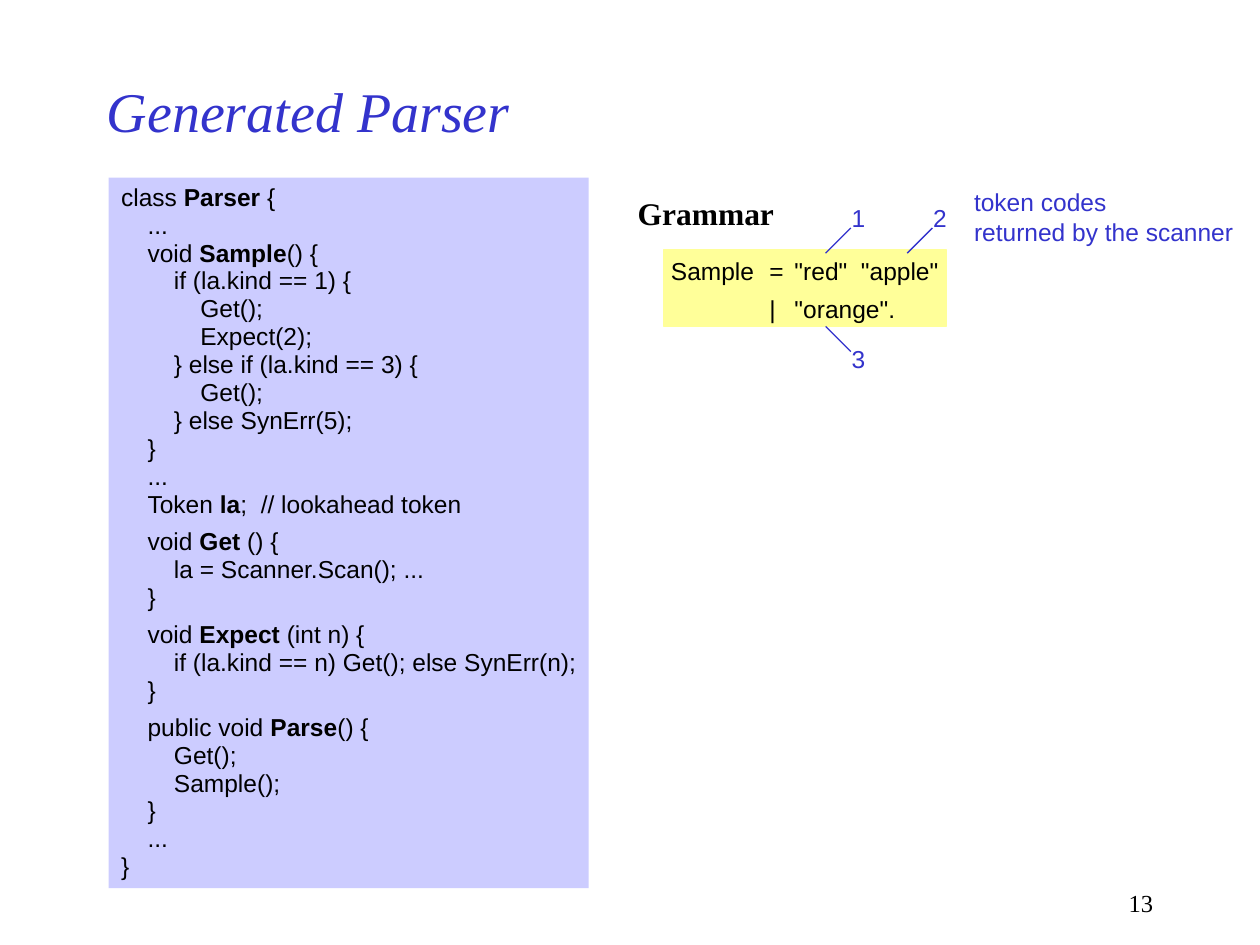
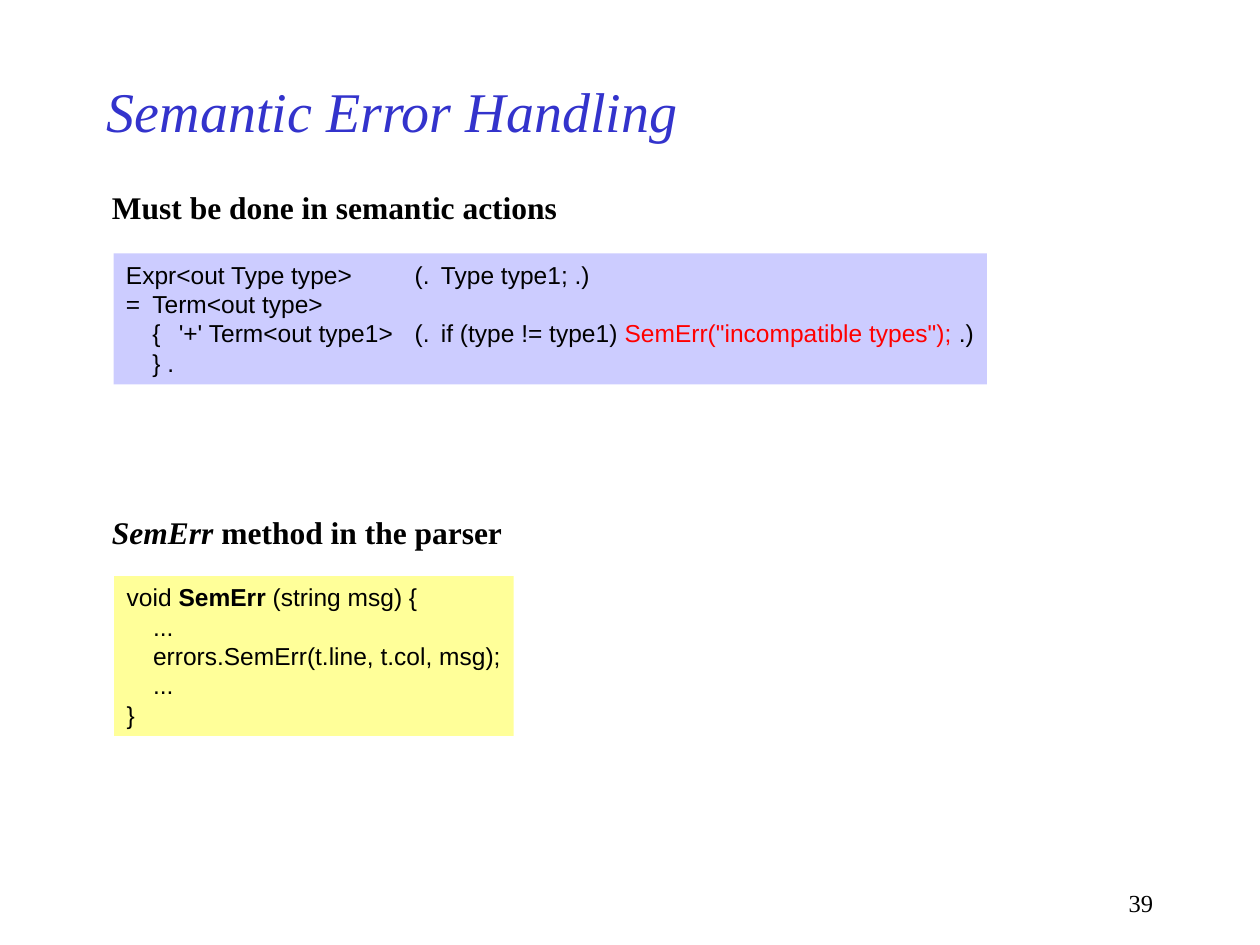
from dataclasses import dataclass

from lxml import etree
from pptx import Presentation
from pptx.dml.color import RGBColor
from pptx.enum.shapes import MSO_CONNECTOR, MSO_SHAPE
from pptx.enum.text import MSO_ANCHOR, MSO_AUTO_SIZE, PP_ALIGN
from pptx.oxml.ns import qn
from pptx.util import Pt

RECTANGLE = MSO_SHAPE.RECTANGLE
STRAIGHT = MSO_CONNECTOR.STRAIGHT
TOP, MIDDLE = MSO_ANCHOR.TOP, MSO_ANCHOR.MIDDLE
LEFT, RIGHT = PP_ALIGN.LEFT, PP_ALIGN.RIGHT
FIXED = MSO_AUTO_SIZE.NONE


@dataclass(frozen=True)
class Theme:
    ink: RGBColor = RGBColor(0x00, 0x00, 0x00)
    accent: RGBColor = RGBColor(0x33, 0x33, 0xCC)
    alert: RGBColor = RGBColor(0xFF, 0x00, 0x00)
    lilac: RGBColor = RGBColor(0xCC, 0xCC, 0xFF)
    yellow: RGBColor = RGBColor(0xFF, 0xFF, 0x99)
    serif: str = "Times New Roman"
    sans: str = "Arial"
    title_size: int = 32
    heading_size: int = 18
    body_size: int = 14
    hairline: float = 0.75
    paragraph_gap: float = 5.2


@dataclass(frozen=True)
class Style:
    font: str
    size: int
    color: RGBColor
    bold: bool = False
    italic: bool = False


THEME = Theme()
TITLE = Style(THEME.serif, THEME.title_size, THEME.accent, italic=True)
HEADING = Style(THEME.serif, THEME.heading_size, THEME.ink, bold=True)
HEADING_ITALIC = Style(THEME.serif, THEME.heading_size, THEME.ink, bold=True, italic=True)
CODE = Style(THEME.sans, THEME.body_size, THEME.ink)
CODE_BOLD = Style(THEME.sans, THEME.body_size, THEME.ink, bold=True)
CODE_ALERT = Style(THEME.sans, THEME.body_size, THEME.alert)
NOTE = Style(THEME.sans, THEME.body_size, THEME.accent)
FOOTER = Style(THEME.serif, THEME.body_size, THEME.ink)

INDENT = 15.1
CODE_TABS = [INDENT, 2 * INDENT, 3 * INDENT]
GRAMMAR_TABS = [56.2, 70.6]
ACTION_TABS = [INDENT, 2 * INDENT, 165, 180]

PARSER_CODE = """class *Parser* {
\t...
\tvoid *Sample*() {
\t\tif (la.kind == 1) {
\t\t\tGet();
\t\t\tExpect(2);
\t\t} else if (la.kind == 3) {
\t\t\tGet();
\t\t} else SynErr(5);
\t}
\t...
\tToken *la*;  // lookahead token
\tvoid *Get* () {
\t\tla = Scanner.Scan(); ...
\t}
\tvoid *Expect* (int n) {
\t\tif (la.kind == n) Get(); else SynErr(n);
\t}
\tpublic void *Parse*() {
\t\tGet();
\t\tSample();
\t}
\t...
}"""

SAMPLE_GRAMMAR = """Sample\t=\t"red"  "apple"
\t|\t"orange"."""

EXPRESSION_GRAMMAR = """Expr<out Type type>\t(.\tType type1; .)
=\tTerm<out type>
\t{\t'+' Term<out type1>\t(.\tif (type != type1) *SemErr("incompatible types");* .)
\t} ."""

ERROR_METHOD = """void *SemErr* (string msg) {
\t...
\terrors.SemErr(t.line, t.col, msg);
\t...
}"""


def add_span(para, text, style):
    span = para.add_run()
    span.text = text
    font = span.font
    font.name, font.size = style.font, Pt(style.size)
    font.bold, font.italic = style.bold, style.italic
    font.color.rgb = style.color


def set_tabs(para, stops):
    tab_list = etree.SubElement(para._p.get_or_add_pPr(), qn("a:tabLst"))
    for stop in stops:
        etree.SubElement(tab_list, qn("a:tab"), pos=str(int(Pt(stop))), algn="l")


def write_text(box, text, style, marked=None, tabs=(), gaps=(), spacing=None,
               align=LEFT, anchor=TOP, padded=True):
    frame = box.text_frame
    frame.auto_size = FIXED
    frame.word_wrap = True
    frame.vertical_anchor = anchor
    frame.margin_left = Pt(7.2 if padded else 0)
    frame.margin_right = Pt(7.2 if align == RIGHT else 0)
    frame.margin_top = frame.margin_bottom = Pt(3.6 if padded else 0)
    for index, line in enumerate(text.split("\n")):
        para = frame.add_paragraph() if index else frame.paragraphs[0]
        para.alignment = align
        if spacing:
            para.line_spacing = spacing
        if index in gaps:
            para.space_before = Pt(THEME.paragraph_gap)
        if tabs:
            set_tabs(para, tabs)
        for part, words in enumerate(line.split("*")):
            if words:
                add_span(para, words, marked if part % 2 else style)


def add_text(page, place, text, style, **options):
    box = page.shapes.add_textbox(*map(Pt, place))
    write_text(box, text, style, **options)


def add_panel(page, place, color):
    panel = page.shapes.add_shape(RECTANGLE, *map(Pt, place))
    panel.shadow.inherit = False
    panel.fill.solid()
    panel.fill.fore_color.rgb = color
    panel.line.fill.background()
    return panel


def add_code(page, place, color, text, **options):
    write_text(add_panel(page, place, color), text, CODE, **options)


def add_token_mark(page, code, left, start, rise, label_top):
    line = page.shapes.add_connector(
        STRAIGHT, Pt(left), Pt(start), Pt(left + 14.4), Pt(start + rise))
    line.line.color.rgb = THEME.accent
    line.line.width = Pt(THEME.hairline)
    etree.SubElement(line._element.spPr, qn("a:effectLst"))
    add_text(page, (left + 14.8, label_top, 10, 16.6), code, NOTE, padded=False)


def add_page(deck, title, number):
    page = deck.slides.add_slide(deck.slide_layouts[6])
    add_text(page, (54, 36, 540, 54), title, TITLE, anchor=MIDDLE)
    add_text(page, (516.2, 504, 149.8, 23.8), number, FOOTER, align=RIGHT)
    return page


def build_generated_parser(deck):
    page = add_page(deck, "Generated Parser", "13")
    add_code(page, (62.1, 101.5, 274.3, 406), THEME.lilac, PARSER_CODE,
             marked=CODE_BOLD, tabs=CODE_TABS, gaps=(12, 15, 18), spacing=0.95)
    add_text(page, (357.3, 107.5, 94, 28.8), "Grammar", HEADING)
    grammar = add_panel(page, (379.4, 142.6, 161.3, 43.9), THEME.yellow)
    grammar.line.color.rgb = THEME.yellow
    grammar.line.width = Pt(THEME.hairline)
    add_text(page, (376.3, 142.6, 170, 46), SAMPLE_GRAMMAR, CODE,
             tabs=GRAMMAR_TABS, gaps=(1,))
    add_token_mark(page, "1", 471.8, 144.7, -14.4, 116)
    add_token_mark(page, "2", 518.4, 144.7, -14.4, 116)
    add_token_mark(page, "3", 471.8, 186.5, 14.4, 196.6)
    add_text(page, (556.6, 107, 152, 33.8),
             "token codes\nreturned by the scanner", NOTE, padded=False)


def build_error_handling(deck):
    page = add_page(deck, "Semantic Error Handling", "39")
    add_text(page, (56.9, 103.7, 270, 28.8), "Must be done in semantic actions", HEADING)
    add_code(page, (64.9, 144.8, 499, 74.9), THEME.lilac, EXPRESSION_GRAMMAR,
             marked=CODE_ALERT, tabs=ACTION_TABS)
    add_text(page, (56.9, 289.4, 240, 28.8), "*SemErr* method in the parser",
             HEADING, marked=HEADING_ITALIC)
    add_code(page, (65.3, 329.2, 228.2, 91.4), THEME.yellow, ERROR_METHOD,
             marked=CODE_BOLD, tabs=CODE_TABS)


def main():
    deck = Presentation()
    deck.slide_width, deck.slide_height = Pt(720), Pt(540)
    build_generated_parser(deck)
    build_error_handling(deck)
    deck.save("out.pptx")


if __name__ == "__main__":
    main()
